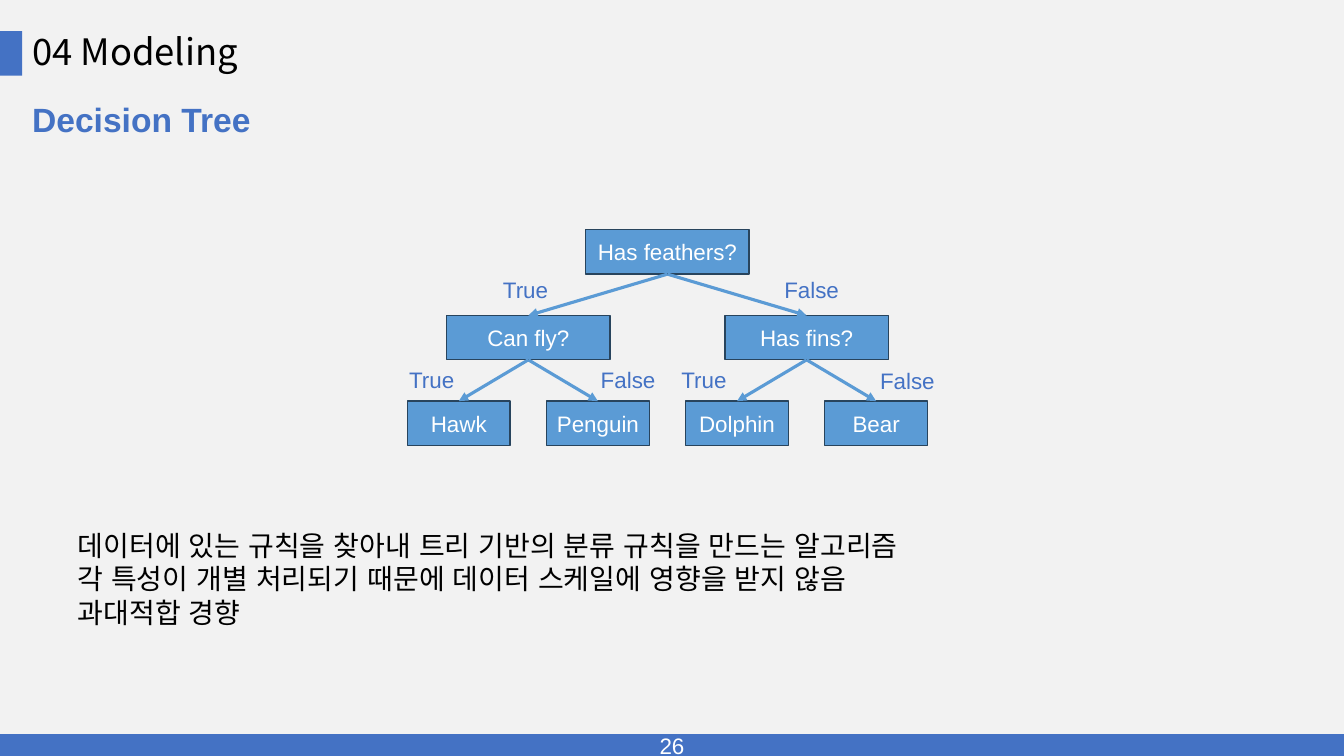
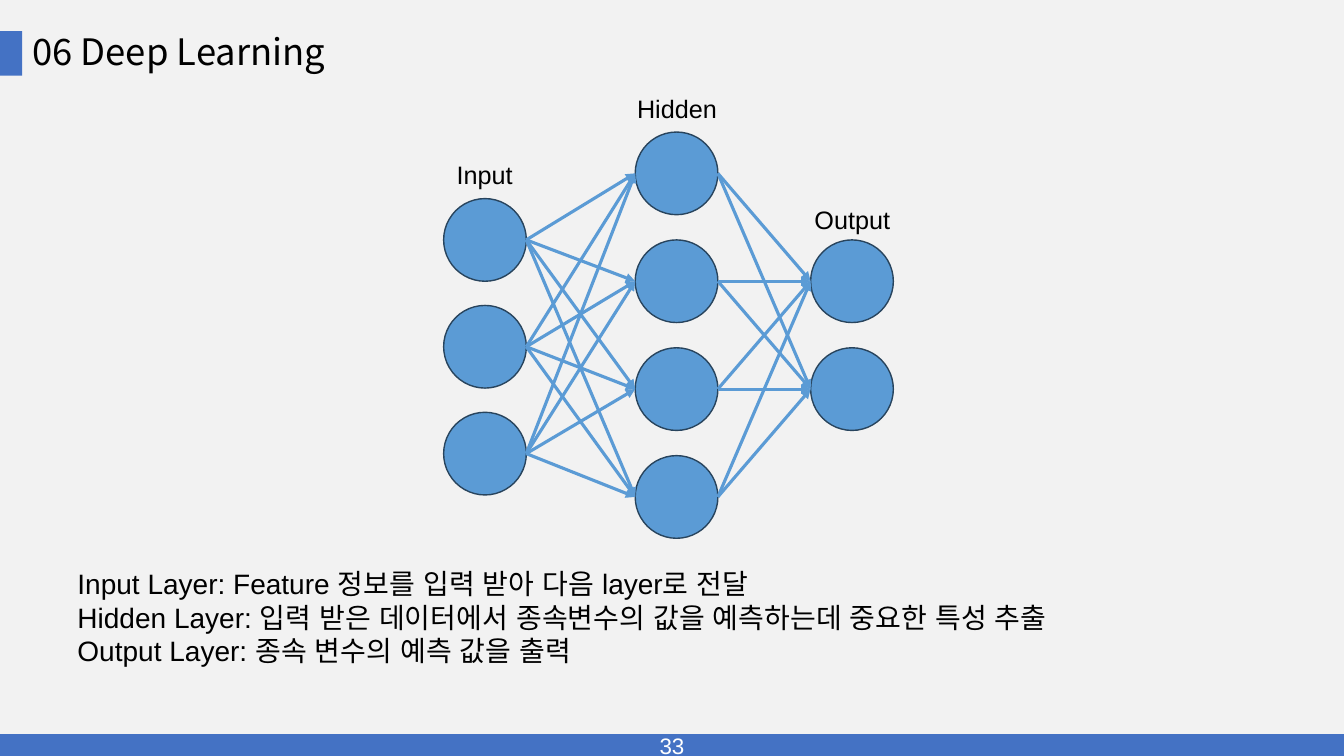
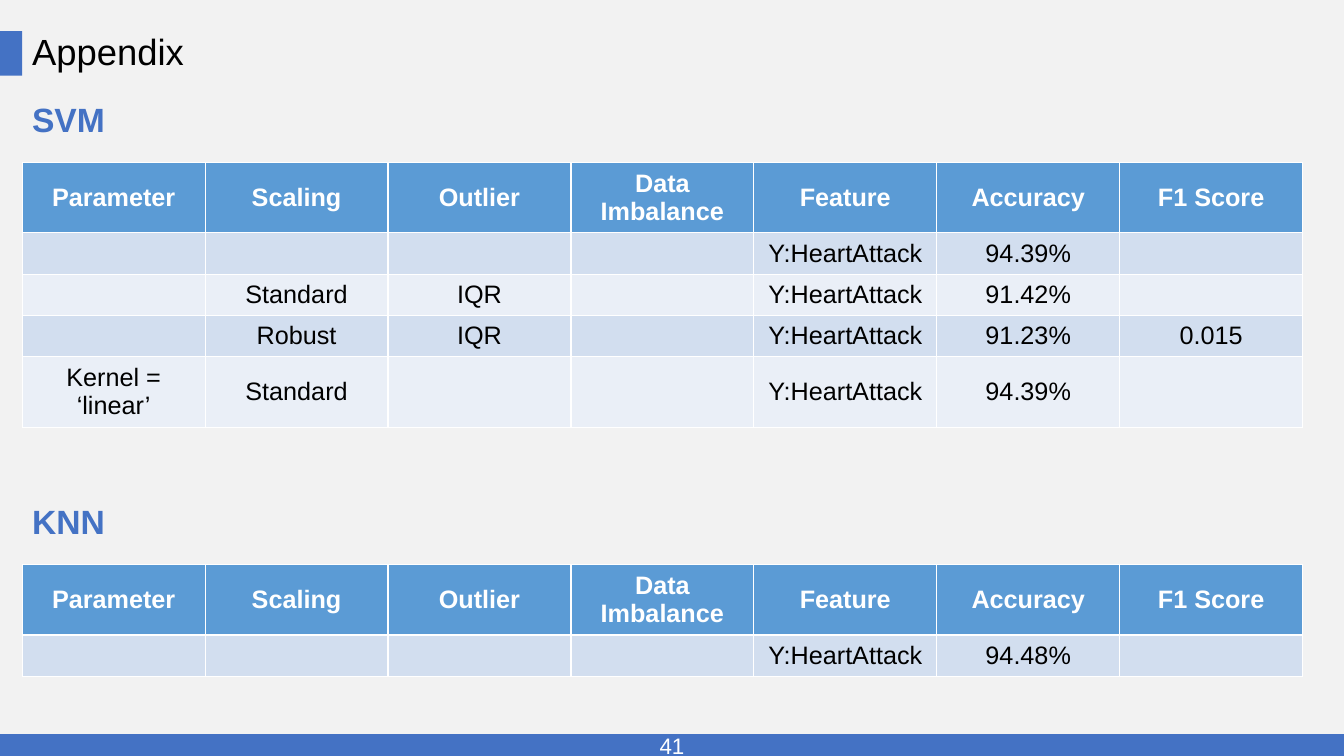
"""Build three slides: a decision tree, a neural network and result tables."""
import lxml.etree
import pptx
import pptx.dml.color
import pptx.enum.shapes
import pptx.enum.text
import pptx.oxml.ns
import pptx.util

Inches = pptx.util.Inches
Pt = pptx.util.Pt
rgb = pptx.dml.color.RGBColor.from_string
qn = pptx.oxml.ns.qn
PRESETS = pptx.enum.shapes.MSO_SHAPE
MIDDLE = pptx.enum.text.MSO_ANCHOR.MIDDLE
TOP = pptx.enum.text.MSO_ANCHOR.TOP
CENTER = pptx.enum.text.PP_ALIGN.CENTER
LEFT = pptx.enum.text.PP_ALIGN.LEFT

BACKGROUND, ACCENT, NODE, NODE_LINE = "F2F2F2", "4472C4", "5B9BD5", "28445D"
WHITE, BLACK = "FFFFFF", "000000"
BODY_FILLS = ["D2DEEF", "EAEFF7"]


def write(text, target, box=None, size=18, color=BLACK, font="Arial", bold=False,
          align=LEFT, anchor=TOP, wrap=True, spacing=None):
    """Write lines into a shape or cell, or into a new text box on a slide."""
    if box:
        target = target.shapes.add_textbox(*[Inches(length) for length in box])
        target.text_frame.word_wrap = wrap
        target.text_frame.vertical_anchor = anchor
    frame = target.text_frame
    for index, line in enumerate(text.split("\n")):
        paragraph = frame.add_paragraph() if index else frame.paragraphs[0]
        paragraph.alignment = align
        paragraph.line_spacing = spacing
        run = paragraph.add_run()
        run.text = line
        run.font.name, run.font.size, run.font.bold = font, Pt(size), bold
        run.font.color.rgb = rgb(color)
        east_asian = lxml.etree.SubElement(run.font._element, qn("a:ea"))
        east_asian.set("typeface", font)


def draw_shape(slide, preset, box, fill, line=None):
    """Draw a filled preset shape with an optional one-point outline."""
    shape = slide.shapes.add_shape(preset, *[Inches(length) for length in box])
    shape.shadow.inherit = False
    shape.fill.solid()
    shape.fill.fore_color.rgb = rgb(fill)
    if line:
        shape.line.color.rgb = rgb(line)
        shape.line.width = Pt(1)
    else:
        shape.line.fill.background()
    shape.text_frame.vertical_anchor = MIDDLE
    return shape


presentation = pptx.Presentation()
presentation.slide_width = Inches(13.33)
presentation.slide_height = Inches(7.5)

slides = []
for title, title_font, number in [
    ("04 Modeling", "Noto Sans CJK KR", "26"),
    ("06 Deep Learning", "Noto Sans CJK KR", "33"),
    ("Appendix", "Arial", "41"),
]:
    slide = presentation.slides.add_slide(presentation.slide_layouts[6])
    slide.background.fill.solid()
    slide.background.fill.fore_color.rgb = rgb(BACKGROUND)
    footer = draw_shape(slide, PRESETS.RECTANGLE, (0, 7.29, 13.33, 0.21), ACCENT, ACCENT)
    write(number, footer, size=16, color=WHITE, align=CENTER)
    draw_shape(slide, PRESETS.RECTANGLE, (0, 0.31, 0.22, 0.44), ACCENT)
    write(title, slide, (0.22, 0.31, 12.7, 0.44), size=26, font=title_font,
          anchor=MIDDLE, spacing=0.9)
    slides.append(slide)
tree_slide, network_slide, table_slide = slides

for slide, heading, top in [
    (tree_slide, "Decision Tree", 0.93),
    (table_slide, "SVM", 0.93),
    (table_slide, "KNN", 4.92),
]:
    write(heading, slide, (0.22, top, 12, 0.5), size=24, color=ACCENT, bold=True)

for slide, top, description in [
    (tree_slide, 5.19,
     "데이터에 있는 규칙을 찾아내 트리 기반의 분류 규칙을 만드는 알고리즘\n"
     "각 특성이 개별 처리되기 때문에 데이터 스케일에 영향을 받지 않음\n"
     "과대적합 경향"),
    (network_slide, 5.57,
     "Input Layer: Feature 정보를 입력 받아 다음 layer로 전달\n"
     "Hidden Layer: 입력 받은 데이터에서 종속변수의 값을 예측하는데 중요한 특성 추출\n"
     "Output Layer: 종속 변수의 예측 값을 출력"),
]:
    write(description, slide, (0.67, top, 12, 1.11), size=20)

links = []
parents = []
for level, (first_center, pitch, width, names) in enumerate([
    (6.62, 0, 1.62, ["Has feathers?"]),
    (5.24, 2.76, 1.62, ["Can fly?", "Has fins?"]),
    (4.55, 1.38, 1.02, ["Hawk", "Penguin", "Dolphin", "Bear"]),
]):
    nodes = []
    for index, name in enumerate(names):
        left = first_center + index * pitch - width / 2
        node = draw_shape(tree_slide, PRESETS.RECTANGLE,
                          (left, 2.28 + level * 0.85, width, 0.44), NODE, NODE_LINE)
        node.text_frame.word_wrap = False
        write(name, node, size=16, color=WHITE, align=CENTER)
        if parents:
            links.append((tree_slide, parents[index // 2], node))
        nodes.append(node)
    parents = nodes

previous_layer = []
for left, first_top, pitch, count in [
    (4.4, 1.97, 1.06, 3),
    (6.3, 1.31, 1.07, 4),
    (8.04, 2.38, 1.07, 2),
]:
    layer = [draw_shape(network_slide, PRESETS.OVAL,
                        (left, first_top + index * pitch, 0.82, 0.82), NODE, NODE_LINE)
             for index in range(count)]
    links += [(network_slide, start, end) for start in previous_layer for end in layer]
    previous_layer = layer

for slide, start, end in links:
    connector = slide.shapes.add_connector(
        pptx.enum.shapes.MSO_CONNECTOR.STRAIGHT,
        start.left + start.width, start.top + start.height // 2,
        end.left, end.top + end.height // 2)
    if slide is tree_slide:
        connector.begin_connect(start, 2)
        connector.end_connect(end, 0)
    connector.line.color.rgb = rgb(NODE)
    connector.line.width = Pt(2.25)
    arrowhead = lxml.etree.SubElement(connector.line._get_or_add_ln(), qn("a:tailEnd"))
    arrowhead.set("type", "triangle")
    lxml.etree.SubElement(connector._element.spPr, qn("a:effectLst"))

for answer, left, top in [
    ("True", 4.89, 2.69), ("False", 7.68, 2.69),
    ("True", 3.96, 3.58), ("False", 5.86, 3.58),
    ("True", 6.66, 3.58), ("False", 8.63, 3.59),
]:
    width = 0.65 if answer == "True" else 0.75
    write(answer, tree_slide, (left, top, width, 0.37), size=16, color=ACCENT, wrap=False)

for layer_name, left, top, width in [
    ("Input", 4.43, 1.53, 0.76), ("Hidden", 6.22, 0.88, 1), ("Output", 7.98, 1.98, 0.96),
]:
    write(layer_name, network_slide, (left, top, width, 0.4), wrap=False)

columns = ["Parameter", "Scaling", "Outlier", "Data Imbalance", "Feature", "Accuracy", "F1 Score"]
target_name = "Y:HeartAttack"
for top, results in [
    (1.61, [
        ["", "", "", "", target_name, "94.39%", ""],
        ["", "Standard", "IQR", "", target_name, "91.42%", ""],
        ["", "Robust", "IQR", "", target_name, "91.23%", "0.015"],
        ["Kernel = ‘linear’", "Standard", "", "", target_name, "94.39%", ""],
    ]),
    (5.6, [["", "", "", "", target_name, "94.48%", ""]]),
]:
    rows = [columns] + results
    heights = [0.7 if row[0] else 0.41 for row in rows]
    table = table_slide.shapes.add_table(
        len(rows), len(columns), Inches(0.22), Inches(top),
        Inches(12.7), Inches(sum(heights))).table
    for row_index, row in enumerate(rows):
        header = row_index == 0
        table.rows[row_index].height = Inches(heights[row_index])
        for column_index, value in enumerate(row):
            cell = table.cell(row_index, column_index)
            cell.fill.solid()
            cell.fill.fore_color.rgb = rgb(NODE if header else BODY_FILLS[(row_index - 1) % 2])
            cell.vertical_anchor = MIDDLE
            if value:
                write(value, cell, color=WHITE if header else BLACK, bold=header, align=CENTER)

presentation.save("out.pptx")
